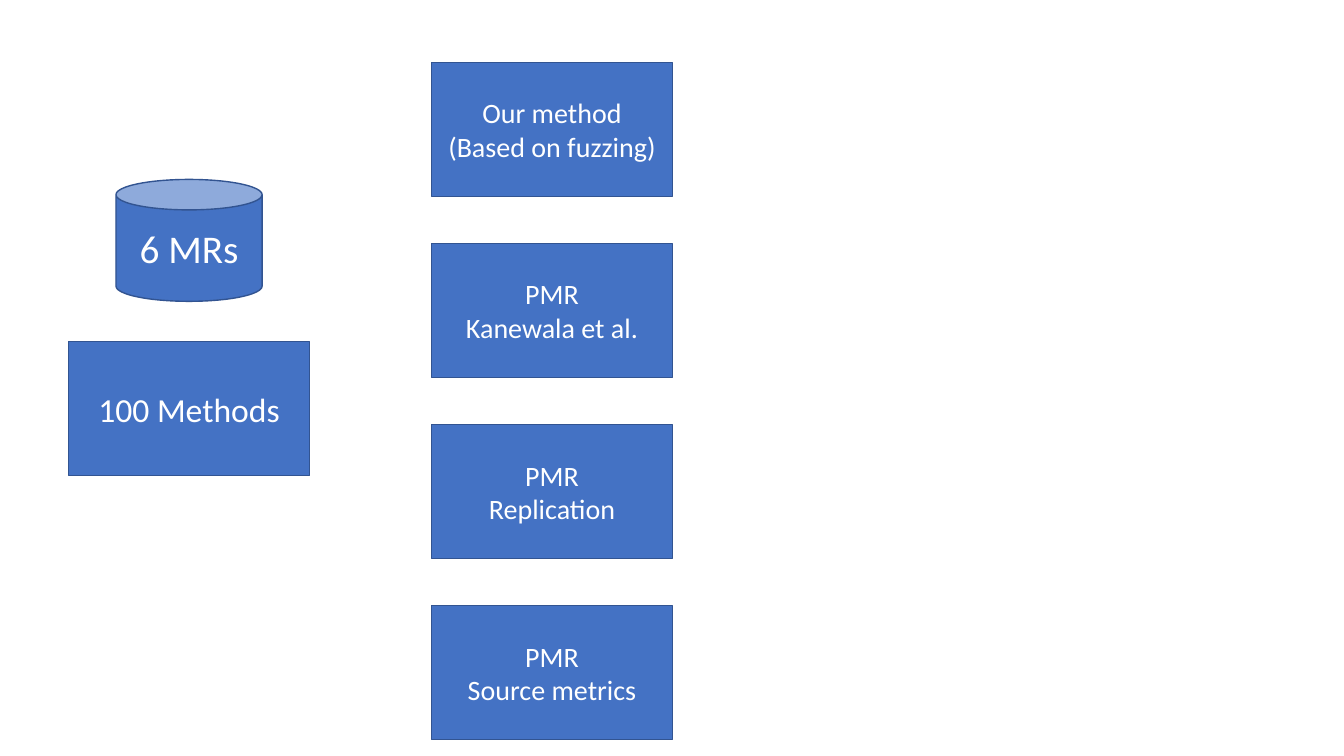
from pptx import Presentation
from pptx.dml.color import RGBColor
from pptx.enum.shapes import MSO_SHAPE as Preset
from pptx.enum.text import MSO_ANCHOR as Anchor, PP_ALIGN as Align
from pptx.util import Inches, Pt

WIDTH, HEIGHT = 13.33, 7.5
BOX_WIDTH, BOX_HEIGHT = 2.39, 1.33
INPUT_LEFT, METHOD_LEFT = 0.68, 4.28
FIRST_TOP, LAST_TOP = 0.62, 6.01
METHODS = [
    ("Our method", "(Based on fuzzing)"),
    ("PMR", "Kanewala et al."),
    ("PMR", "Replication"),
    ("PMR", "Source metrics"),
]


def color(value):
    """Turn a hex string into a colour."""
    return RGBColor.from_string(value)


def write(frame, lines, size=20, font="Calibri", ink="FFFFFF", align=Align.CENTER):
    """Write one formatted paragraph per line into a text frame."""
    frame.word_wrap = True
    frame.vertical_anchor = Anchor.MIDDLE
    for index, line in enumerate(lines):
        para = frame.add_paragraph() if index else frame.paragraphs[0]
        para.alignment = align
        span = para.add_run()
        span.text = line
        span.font.size = Pt(size)
        span.font.name = font
        span.font.color.rgb = color(ink)


class Diagram:
    """Holds the style and the current slide."""

    fill, outline, outline_width = "4472C4", "325491", 1

    def __init__(self, page):
        """Draw on the given page."""
        self.page = page

    def shape(self, preset, left, top, width, height, lines, **text_format):
        """Add a filled, outlined preset shape with centred text."""
        box = self.page.shapes.add_shape(
            preset, Inches(left), Inches(top), Inches(width), Inches(height))
        box.shadow.inherit = False
        box.fill.solid()
        box.fill.fore_color.rgb = color(self.fill)
        box.line.color.rgb = color(self.outline)
        box.line.width = Pt(self.outline_width)
        write(box.text_frame, lines, **text_format)

    def box(self, left, top, lines, **text_format):
        """Add a rectangle of the common size."""
        self.shape(Preset.RECTANGLE, left, top, BOX_WIDTH, BOX_HEIGHT,
                   lines, **text_format)

    def store(self, center, top, width, height, lines, **text_format):
        """Add a cylinder centred on a vertical axis."""
        self.shape(Preset.CAN, center - width / 2, top, width, height,
                   lines, **text_format)


deck = Presentation()
deck.slide_width, deck.slide_height = Inches(WIDTH), Inches(HEIGHT)
diagram = Diagram(deck.slides.add_slide(deck.slide_layouts[6]))

diagram.box(INPUT_LEFT, 3.39, ["100 Methods"], size=24)
diagram.store(INPUT_LEFT + BOX_WIDTH / 2, 1.78, 1.45, 1.21, ["6 MRs"], size=28)

pitch = (LAST_TOP - FIRST_TOP) / (len(METHODS) - 1)
for row, method in enumerate(METHODS):
    diagram.box(METHOD_LEFT, FIRST_TOP + row * pitch, method)

deck.save("out.pptx")
